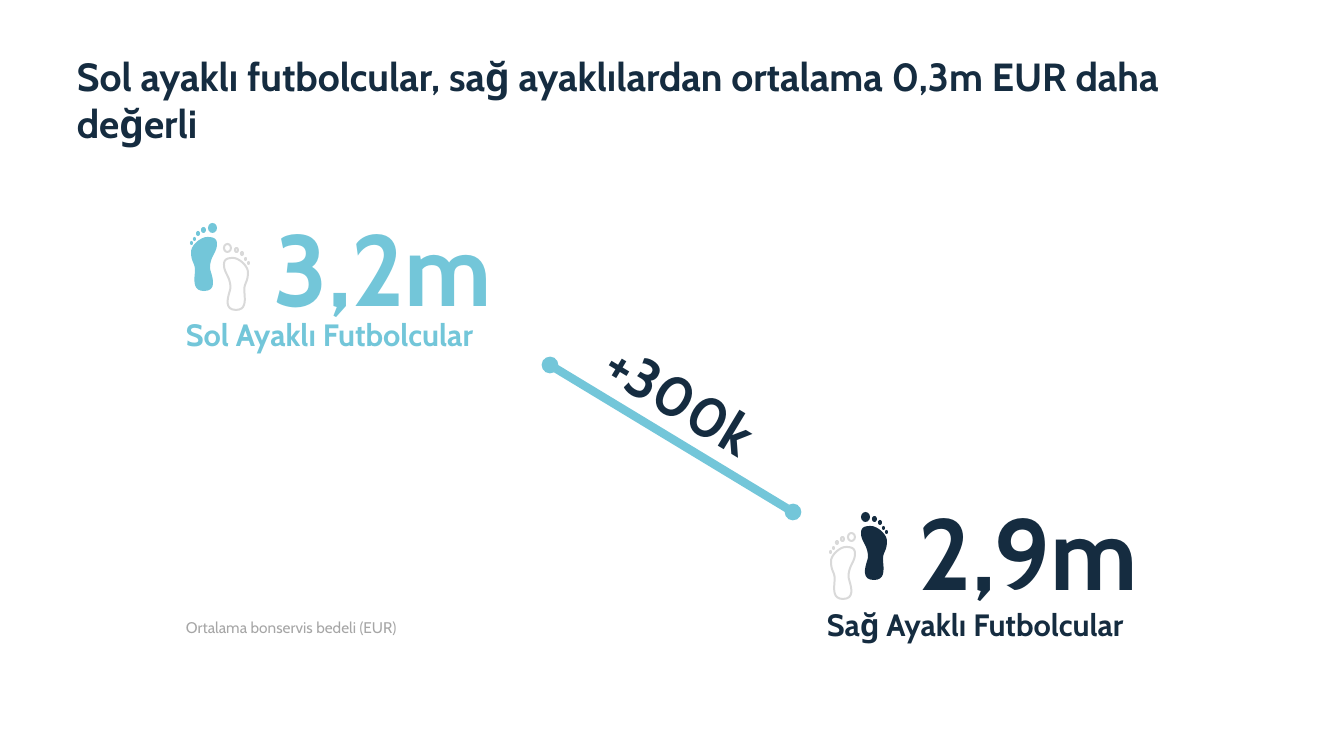
import dataclasses
import itertools
import typing

import lxml.etree
import pptx
import pptx.dml.color
import pptx.enum.shapes
import pptx.enum.text
import pptx.oxml.ns
import pptx.shapes.base
import pptx.slide
import pptx.util

SCALE = 914400 / 100.8
FONT = "Cabin"
COLORS = {"sky": "73C6D9", "navy": "152C40", "pale": "D9D9D9", "gray": "A6A6A6"}
STROKE = 2


class Box(typing.NamedTuple):
    left: float
    top: float
    width: float
    height: float


class Foot(typing.NamedTuple):
    left: int
    top: int
    color: str
    flip: bool
    solid: bool


@dataclasses.dataclass(frozen=True)
class Side:
    value: str
    label: str
    color: str
    value_box: Box
    label_box: Box
    feet: tuple[Foot, Foot]


FOOT_WIDTH = 28
TOES = [
    Box(18, 0, 9, 10),
    Box(11, 4, 5, 6),
    Box(6, 8, 4, 5),
    Box(3, 14, 3, 4),
    Box(0, 18, 3, 4),
]
SOLE_BOX = Box(1, 14, 26, 54)
SOLE = [
    (17, 14), (11, 14), (1, 22), (1, 29), (1, 39), (5, 40), (5, 47),
    (5, 54), (1, 68), (14, 68), (30, 68), (20, 49), (20, 45),
    (20, 33), (27, 30), (27, 21), (27, 15), (23, 14), (17, 14),
]

SIDES = [
    Side("3,2m", "Sol Ayaklı Futbolcular", "sky",
         Box(264, 201, 258, 132), Box(176, 311, 339, 47),
         (Foot(190, 223, "sky", False, True), Foot(222, 243, "pale", True, False))),
    Side("2,9m", "Sağ Ayaklı Futbolcular", "navy",
         Box(909, 485, 258, 132), Box(817, 601, 347, 47),
         (Foot(860, 512, "navy", True, True), Foot(829, 532, "pale", False, False))),
]


def emu(pixels: float) -> int:
    return round(pixels * SCALE)


def rgb(color: str) -> pptx.dml.color.RGBColor:
    return pptx.dml.color.RGBColor.from_string(COLORS[color])


def add_text(slide: pptx.slide.Slide, text: str, box: Box, *, size: int, color: str,
             bold: bool = True, wrap: bool = False, turn: float = 0,
             align: typing.Any = pptx.enum.text.PP_ALIGN.LEFT,
             anchor: typing.Any = pptx.enum.text.MSO_ANCHOR.TOP) -> None:
    shape = slide.shapes.add_textbox(*map(emu, box))
    shape.rotation = turn
    frame = shape.text_frame
    frame.word_wrap = wrap
    fit = pptx.enum.text.MSO_AUTO_SIZE
    frame.auto_size = fit.NONE if wrap else fit.SHAPE_TO_FIT_TEXT
    frame.vertical_anchor = anchor
    line = frame.paragraphs[0]
    line.alignment = align
    run = line.add_run()
    run.text = text
    run.font.name = FONT
    run.font.size = pptx.util.Pt(size)
    run.font.bold = bold
    run.font.color.rgb = rgb(color)


def paint(shape: pptx.shapes.base.BaseShape, foot: Foot) -> None:
    shape.shadow.inherit = False
    if foot.solid:
        shape.fill.solid()
        shape.fill.fore_color.rgb = rgb(foot.color)
        shape.line.fill.background()
    else:
        shape.fill.background()
        shape.line.color.rgb = rgb(foot.color)
        shape.line.width = emu(STROKE)


def trace(points: list[tuple[int, int]], steps: int = 10) -> list[tuple[float, float]]:
    curve = [points[0]]
    for start, step in itertools.product(range(0, len(points) - 1, 3), range(1, steps + 1)):
        t = step / steps
        u = 1 - t
        parts = (u**3, 3 * u * u * t, 3 * u * t * t, t**3)
        knots = points[start:start + 4]
        curve.append(tuple(sum(p * k[axis] for p, k in zip(parts, knots)) for axis in (0, 1)))
    return curve


def add_foot(slide: pptx.slide.Slide, foot: Foot) -> None:
    inset = 0 if foot.solid else STROKE / 2
    for toe in TOES:
        left = FOOT_WIDTH - toe.left - toe.width if foot.flip else toe.left
        box = Box(foot.left + left + inset, foot.top + toe.top + inset,
                  toe.width - 2 * inset, toe.height - 2 * inset)
        paint(slide.shapes.add_shape(pptx.enum.shapes.MSO_SHAPE.OVAL, *map(emu, box)), foot)

    def place(point: tuple[float, float]) -> tuple[int, int]:
        x = SOLE_BOX.left + inset + (point[0] - SOLE_BOX.left) * (1 - 2 * inset / SOLE_BOX.width)
        y = SOLE_BOX.top + inset + (point[1] - SOLE_BOX.top) * (1 - 2 * inset / SOLE_BOX.height)
        return emu(foot.left + (FOOT_WIDTH - x if foot.flip else x)), emu(foot.top + y)

    first, *rest = map(place, trace(SOLE))
    outline = slide.shapes.build_freeform(*first)
    outline.add_line_segments(rest[:-1], close=True)
    paint(outline.convert_to_shape(), foot)


def add_side(slide: pptx.slide.Slide, side: Side) -> None:
    add_text(slide, side.label, side.label_box, size=22, color=side.color)
    add_text(slide, side.value, side.value_box, size=72, color=side.color)
    for foot in side.feet:
        add_foot(slide, foot)


def add_slope(slide: pptx.slide.Slide, start: tuple[int, int], end: tuple[int, int]) -> None:
    slope = slide.shapes.add_connector(
        pptx.enum.shapes.MSO_CONNECTOR.STRAIGHT, *map(emu, start + end))
    slope.line.color.rgb = rgb("sky")
    slope.line.width = pptx.util.Pt(6)
    name = pptx.oxml.ns.qn
    line = slope.line._get_or_add_ln()
    for tag in ("a:headEnd", "a:tailEnd"):
        lxml.etree.SubElement(line, name(tag), type="oval", w="sm", len="sm")
    lxml.etree.SubElement(slope._element.spPr, name("a:effectLst"))


def main() -> None:
    deck = pptx.Presentation()
    deck.slide_width, deck.slide_height = emu(1344), emu(756)
    slide = deck.slides.add_slide(deck.slide_layouts[6])
    for side in SIDES:
        add_side(slide, side)
    add_slope(slide, (550, 365), (793, 512))
    add_text(slide, "+300k", Box(586, 359, 190, 78), size=40, color="navy",
             turn=31.1, align=pptx.enum.text.PP_ALIGN.CENTER)
    add_text(slide, "Ortalama bonservis bedeli (EUR)", Box(176, 613, 241, 29),
             size=11, color="gray", bold=False)
    add_text(slide, "Sol ayaklı futbolcular, sağ ayaklılardan ortalama 0,3m EUR daha değerli",
             Box(67, 50, 1210, 101), size=28, color="navy", wrap=True,
             anchor=pptx.enum.text.MSO_ANCHOR.BOTTOM)
    deck.save("out.pptx")


main()
